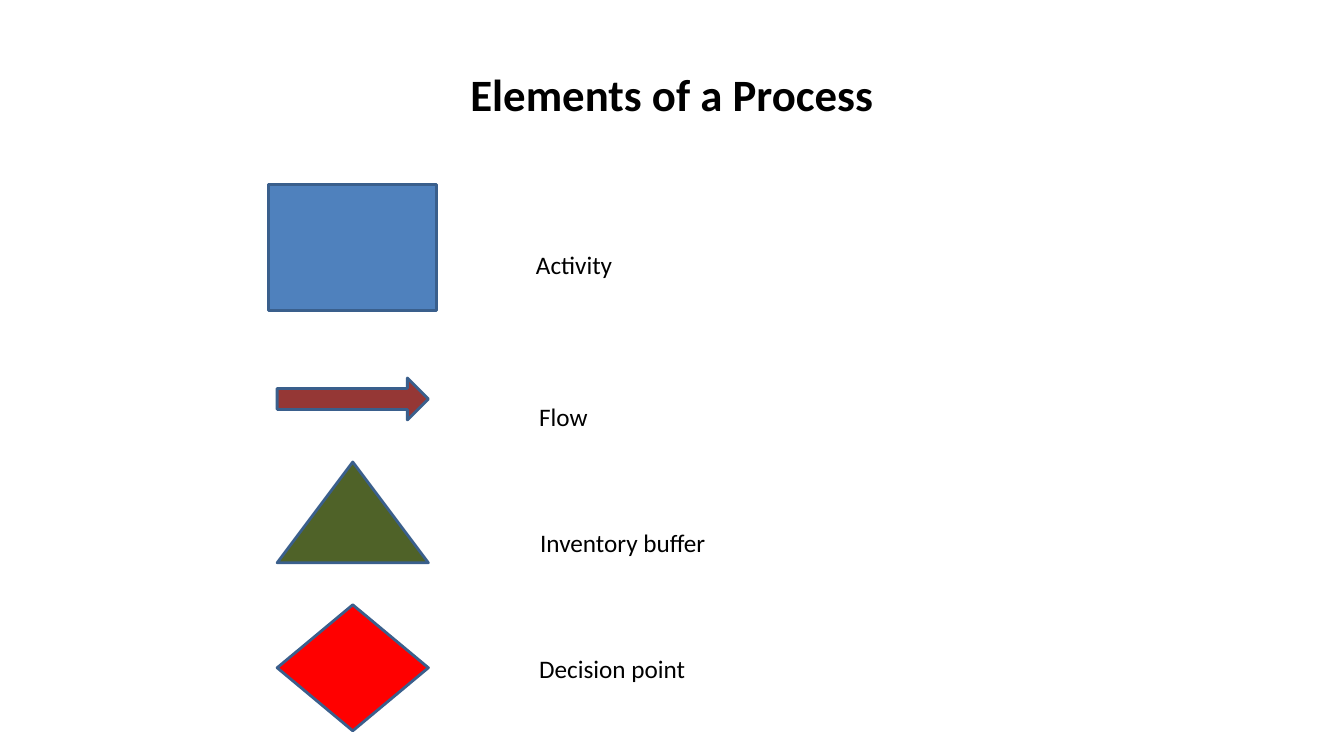
from pptx import Presentation
from pptx import util as u
from pptx.dml.color import RGBColor
from pptx.enum import shapes, text

PX = 9525
FONT = "Calibri"
KIND = shapes.MSO_SHAPE

# kind, fill, symbol box, label, label box
ROWS = [
    (KIND.RECTANGLE, "4F81BD", (256, 176, 160, 120),
     "Activity", (501, 233, 96, 38)),
    (KIND.RIGHT_ARROW, "953735", (264, 360, 144, 40),
     "Flow", (504, 377, 66, 38)),
    (KIND.ISOSCELES_TRIANGLE, "4F6228", (264, 440, 144, 96),
     "Inventory buffer", (505, 497, 179, 38)),
    (KIND.DIAMOND, "FF0000", (264, 576, 144, 120),
     "Decision point", (504, 617, 160, 38)),
]


def emu(box):
    return [n * PX for n in box]


def color(code):
    return RGBColor.from_string(code)


def add_text(slide, words, box, size=18, bold=False, wrap=False,
             align=text.PP_ALIGN.LEFT, anchor=text.MSO_ANCHOR.TOP,
             fit=text.MSO_AUTO_SIZE.SHAPE_TO_FIT_TEXT):
    frame = slide.shapes.add_textbox(*emu(box)).text_frame
    frame.word_wrap = wrap
    frame.auto_size = fit
    frame.vertical_anchor = anchor
    para = frame.paragraphs[0]
    para.alignment = align
    run = para.add_run()
    run.text = words
    run.font.name = FONT
    run.font.size = u.Pt(size)
    run.font.bold = bold
    run.font.color.rgb = color("000000")


def add_symbol(slide, kind, fill, box):
    shape = slide.shapes.add_shape(kind, *emu(box))
    shape.shadow.inherit = False
    shape.fill.solid()
    shape.fill.fore_color.rgb = color(fill)
    shape.line.color.rgb = color("3A5F8C")
    shape.line.width = u.Pt(2)


def main():
    deck = Presentation()
    deck.slide_width, deck.slide_height = emu((1280, 720))
    slide = deck.slides.add_slide(deck.slide_layouts[6])
    add_text(slide, "Elements of a Process", (64, 29, 1152, 120), size=32,
             bold=True, wrap=True, align=text.PP_ALIGN.CENTER,
             anchor=text.MSO_ANCHOR.MIDDLE, fit=text.MSO_AUTO_SIZE.NONE)
    for kind, fill, box, label, place in ROWS:
        add_symbol(slide, kind, fill, box)
        add_text(slide, label, place)
    deck.save("out.pptx")


if __name__ == "__main__":
    main()
